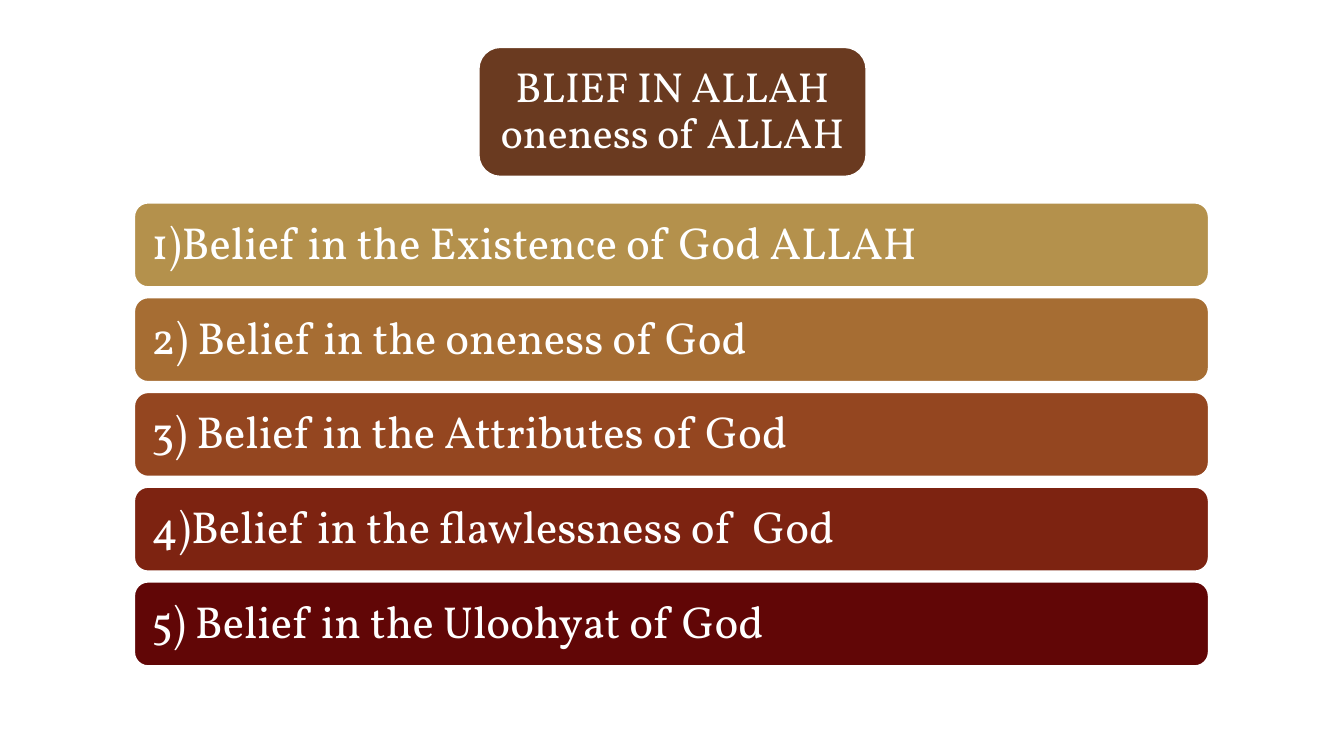
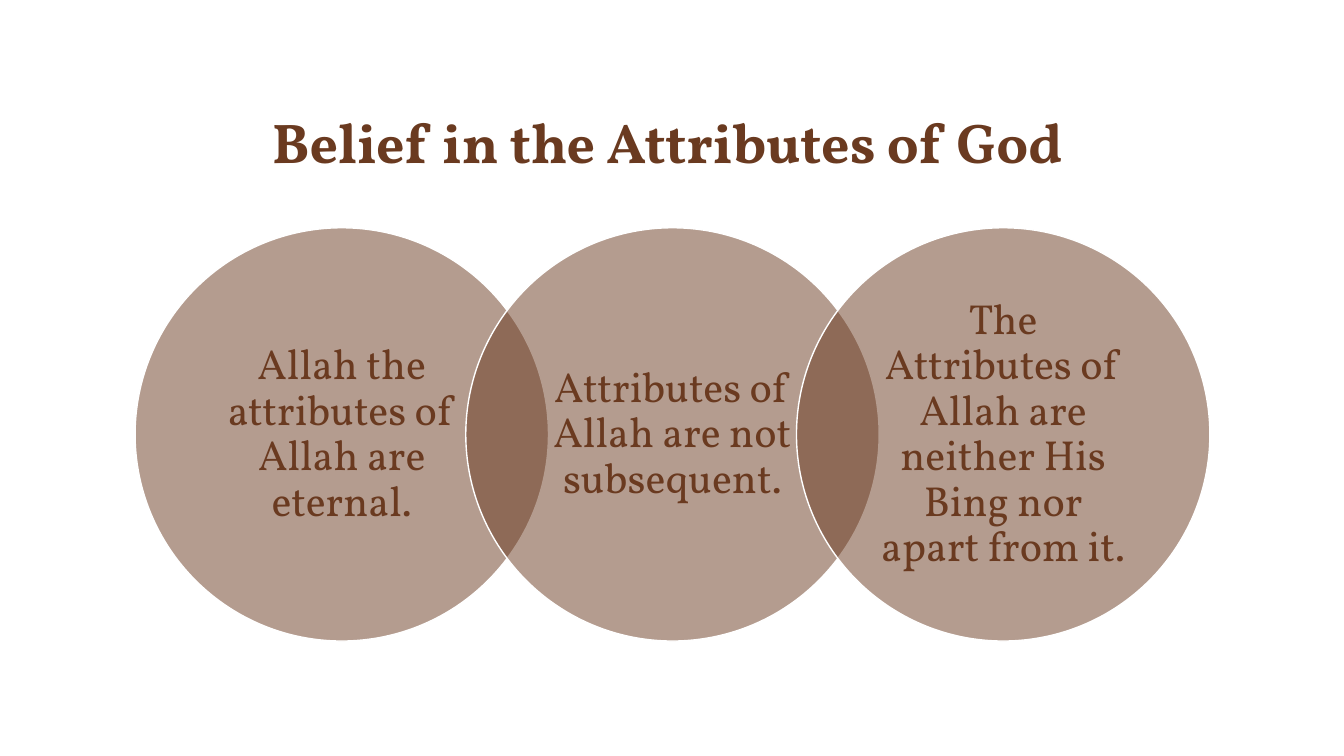
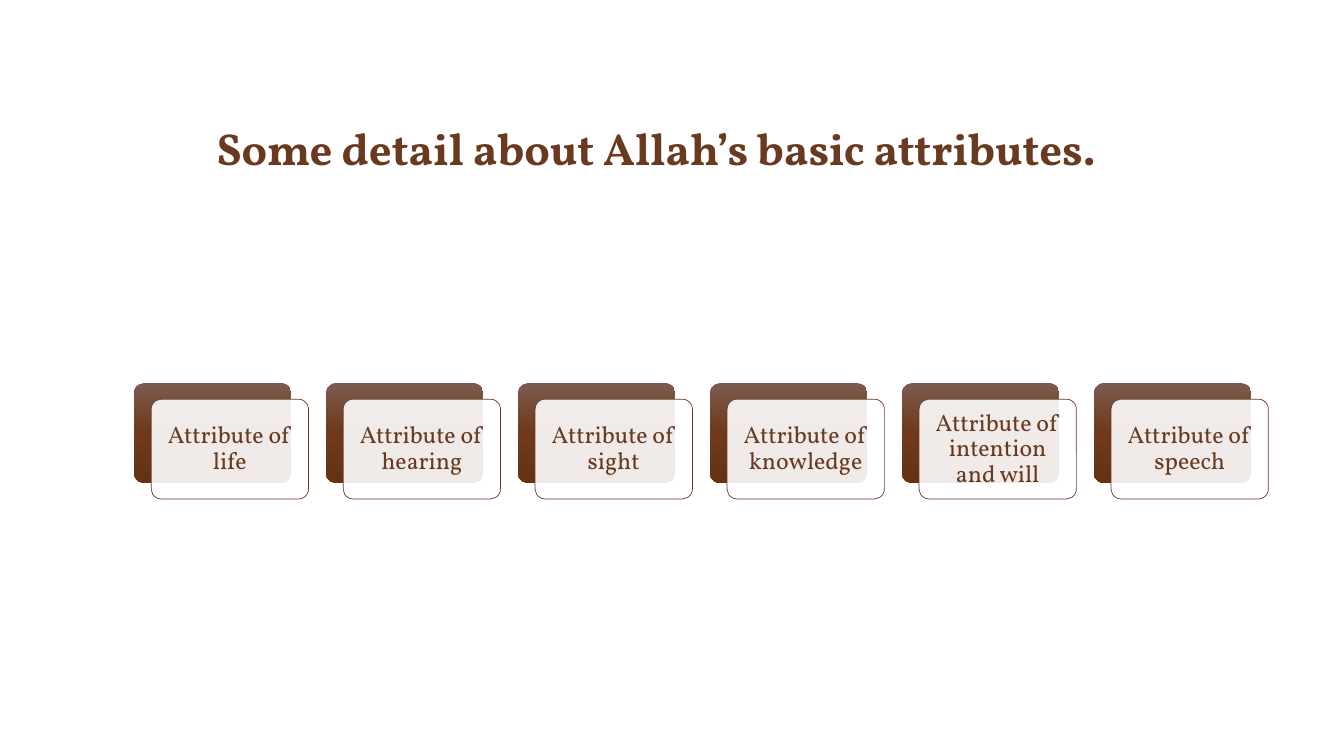
from copy import deepcopy
from dataclasses import dataclass
from typing import Optional

from lxml.etree import SubElement
from pptx import Presentation
from pptx.dml.color import RGBColor
from pptx.enum.shapes import MSO_SHAPE as Preset
from pptx.enum.text import MSO_ANCHOR as Anchor, PP_ALIGN as Align
from pptx.oxml.ns import qn
from pptx.util import Inches, Pt

FONT = "Vollkorn"
COLORS = {
    "brown": "6A3A20",
    "white": "FFFFFF",
    "gold": "B4914C",
    "ochre": "A66D33",
    "rust": "944620",
    "brick": "7D2311",
    "maroon": "610606",
    "sheen": "7D5A4F",
    "umber": "6E391C",
    "shade": "653216",
}
BACKING_STOPS = ((0, "sheen"), (0.5, "umber"), (1, "shade"))

# Shared page measures
LEFT = 1.33
RIGHT = 11.99
TOP = 0.47
HEADING_HEIGHT = 1.28


@dataclass(frozen=True)
class Box:
    left: float
    top: float
    width: float
    height: float

    def lengths(self) -> tuple:
        return tuple(Inches(v) for v in (self.left, self.top, self.width, self.height))


@dataclass(frozen=True)
class Look:
    preset: Preset
    fill: str
    line: Optional[str] = None
    line_width: float = 1
    opacity: int = 100
    corner: Optional[float] = None


def rgb(name: str) -> RGBColor:
    return RGBColor.from_string(COLORS[name])


def write(holder, text: str, *, size: float, color: str = "brown", bold: bool = False,
          align: Align = Align.CENTER, anchor: Anchor = Anchor.MIDDLE,
          spacing: float = 0.9, insets: tuple = (0.1, 0.05)) -> None:
    """Fill a shape or text box with one formatted paragraph."""
    frame = holder.text_frame
    frame.word_wrap = True
    frame.vertical_anchor = anchor
    frame.margin_left = frame.margin_right = Inches(insets[0])
    frame.margin_top = frame.margin_bottom = Inches(insets[1])
    paragraph = frame.paragraphs[0]
    paragraph.alignment = align
    paragraph.line_spacing = spacing
    run = paragraph.add_run()
    run.text = text
    run.font.name = FONT
    run.font.size = Pt(size)
    run.font.bold = bold
    run.font.color.rgb = rgb(color)


def draw(slide, box: Box, look: Look):
    """Add a preset shape with its fill and outline."""
    shape = slide.shapes.add_shape(look.preset, *box.lengths())
    shape.shadow.inherit = False
    if look.corner is not None:
        shape.adjustments[0] = look.corner
    shape.fill.solid()
    shape.fill.fore_color.rgb = rgb(look.fill)
    if look.opacity < 100:
        solid = shape.fill._xPr.find(qn("a:solidFill"))
        SubElement(solid[0], qn("a:alpha"), val=str(look.opacity * 1000))
    if look.line:
        shape.line.color.rgb = rgb(look.line)
        shape.line.width = Pt(look.line_width)
    else:
        shape.line.fill.background()
    return shape


def shade_down(shape) -> None:
    """Give a shape the three-stop vertical gradient."""
    fill = shape.fill
    fill.gradient()
    fill.gradient_angle = 270
    stop_list = fill._xPr.find(qn("a:gradFill")).find(qn("a:gsLst"))
    stop_list.append(deepcopy(stop_list[0]))
    for stop, (position, color) in zip(fill.gradient_stops, BACKING_STOPS):
        stop.position = position
        stop.color.rgb = rgb(color)


def add_title(slide, text: str, left: float, size: float) -> None:
    box = Box(left, TOP, RIGHT - left, HEADING_HEIGHT)
    title = slide.shapes.add_textbox(*box.lengths())
    write(title, text, size=size, bold=True, align=Align.LEFT,
          anchor=Anchor.BOTTOM, spacing=1.0, insets=(0.1, 0.02))


def build_beliefs(slide) -> None:
    heading = draw(slide, Box(4.75, TOP, 3.84, HEADING_HEIGHT),
                   Look(Preset.ROUNDED_RECTANGLE, "brown", "white"))
    write(heading, "BLIEF IN ALLAH oneness of ALLAH", size=30, color="white",
          insets=(0.12, 0.06))

    # Stacked bars, light to dark
    beliefs = (
        ("1)Belief in the Existence of God ALLAH", "gold"),
        ("2) Belief in the oneness of God", "ochre"),
        ("3) Belief in the Attributes of God", "rust"),
        ("4)Belief in the flawlessness of  God", "brick"),
        ("5) Belief in the Uloohyat of God", "maroon"),
    )
    height, gap = 0.84, 0.1
    for row, (belief, color) in enumerate(beliefs):
        bar = draw(slide, Box(LEFT, 2.01 + row * (height + gap), RIGHT - LEFT, height),
                   Look(Preset.ROUNDED_RECTANGLE, color, "white", 1.5))
        write(bar, belief, size=32, color="white", align=Align.LEFT, insets=(0.13, 0.13))


def build_attributes(slide) -> None:
    add_title(slide, "Belief in the Attributes of God", 2.6, 40)

    # Overlapping circles
    statements = (
        "Allah the attributes of Allah are eternal.",
        "Attributes of Allah are not subsequent.",
        "The Attributes of Allah are neither His Bing nor apart from it.",
    )
    diameter = 4.1
    look = Look(Preset.OVAL, "brown", "white", opacity=50)
    for column, statement in enumerate(statements):
        left = 1.34 + column * diameter * 0.8
        circle = draw(slide, Box(left, 2.26, diameter, diameter), look)
        write(circle, statement, size=30, insets=(0.22, 0.04))


def build_details(slide) -> None:
    add_title(slide, "Some detail about Allah’s basic attributes.", 2.05, 32)

    # Cards, each on an offset backing
    attributes = ("life", "hearing", "sight", "knowledge", "intention and will", "speech")
    width, height = 1.56, 0.99
    pitch = (10.85 - LEFT) / (len(attributes) - 1)
    backing_look = Look(Preset.ROUNDED_RECTANGLE, "umber", corner=0.1)
    card_look = Look(Preset.ROUNDED_RECTANGLE, "white", "brown", 0.5, 90, 0.1)
    for column, attribute in enumerate(attributes):
        left = LEFT + column * pitch
        shade_down(draw(slide, Box(left, 3.8, width, height), backing_look))
        card = draw(slide, Box(left + 0.17, 3.96, width, height), card_look)
        write(card, f"Attribute of {attribute}", size=17, insets=(0.07, 0.07))


def main() -> None:
    deck = Presentation()
    deck.slide_width, deck.slide_height = Inches(13.33), Inches(7.5)
    blank = deck.slide_layouts[6]
    for build in (build_beliefs, build_attributes, build_details):
        build(deck.slides.add_slide(blank))
    deck.save("out.pptx")


if __name__ == "__main__":
    main()
